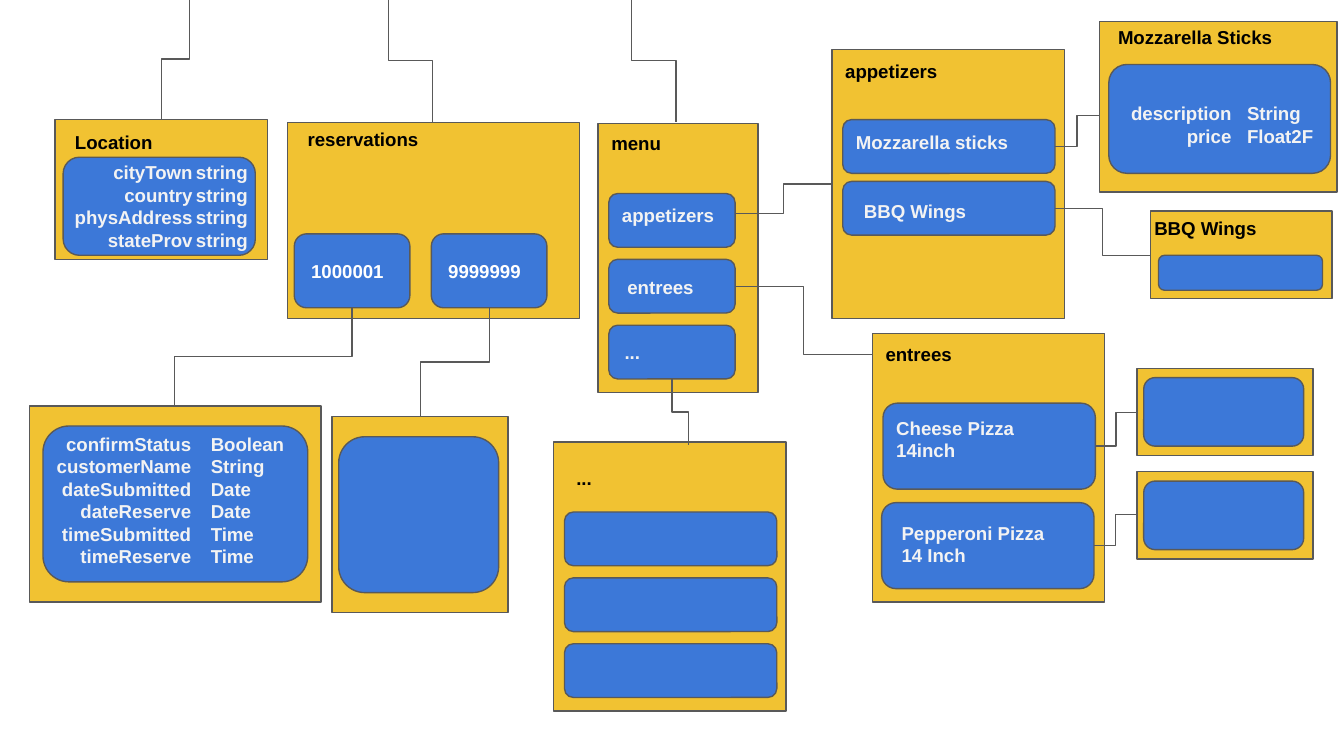
from lxml import etree
from pptx import Presentation
from pptx.dml.color import RGBColor
from pptx.enum.shapes import MSO_CONNECTOR, MSO_SHAPE
from pptx.enum.text import MSO_ANCHOR, PP_ALIGN
from pptx.oxml.ns import qn
from pptx.util import Inches, Pt

RECT = MSO_SHAPE.RECTANGLE
PILL = MSO_SHAPE.FLOWCHART_ALTERNATE_PROCESS
ELBOW = MSO_CONNECTOR.ELBOW
TOP, MIDDLE = MSO_ANCHOR.TOP, MSO_ANCHOR.MIDDLE
LEFT, RIGHT = PP_ALIGN.LEFT, PP_ALIGN.RIGHT

COLORS = {"card": "F1C232", "field": "3C78D8", "edge": "595959",
          "title": "000000", "label": "F3F3F3", "id": "FFFFFF"}
RGB = {role: RGBColor.from_string(value) for role, value in COLORS.items()}
FONT = {"name": "Arial", "size": Pt(10), "bold": True}
FRAME = {"word_wrap": True, "margin_left": Inches(0.1), "margin_right": Inches(0.1),
         "margin_top": Inches(0.1), "margin_bottom": Inches(0.1)}

prs = Presentation()
prs.slide_width = Inches(10)
prs.slide_height = Inches(10) * 9 // 16
slide = prs.slides.add_slide(prs.slide_layouts[6])


def add_block(preset, box, role):
    block = slide.shapes.add_shape(preset, *map(Inches, box))
    block.shadow.inherit = False
    block.fill.solid()
    block.fill.fore_color.rgb = RGB[role]
    block.line.color.rgb = RGB["edge"]
    block.line.width = Pt(0.75)
    return block


def write(holder, lines, role, align=LEFT, anchor=TOP):
    frame = holder.text_frame
    for name, value in FRAME.items():
        setattr(frame, name, value)
    frame.vertical_anchor = anchor
    for i, line in enumerate(lines):
        paragraph = frame.add_paragraph() if i else frame.paragraphs[0]
        paragraph.alignment = align
        run = paragraph.add_run()
        run.text = line
        for name, value in FONT.items():
            setattr(run.font, name, value)
        run.font.color.rgb = RGB[role]


cards = [
    (0.41, 0.89, 1.58, 1.04), (2.14, 0.91, 2.17, 1.46),
    (0.22, 3.02, 2.17, 1.46), (2.47, 3.1, 1.31, 1.46),
    (4.45, 0.92, 1.19, 2), (6.19, 0.37, 1.73, 2),
    (6.49, 2.48, 1.73, 2), (4.12, 3.29, 1.73, 2),
    (8.18, 0.16, 1.77, 1.27), (8.56, 1.57, 1.35, 0.65),
    (8.46, 2.74, 1.31, 0.65), (8.46, 3.51, 1.31, 0.65),
]
for card in cards:
    add_block(RECT, card, "card")

fields = [
    (0.47, 1.17, 1.43, 0.73), (0.32, 3.17, 1.97, 1.16), (2.52, 3.25, 1.19, 1.16),
    (6.27, 0.89, 1.58, 0.4), (6.27, 1.35, 1.58, 0.4),
    (6.57, 3, 1.58, 0.64), (6.56, 3.74, 1.58, 0.64),
    (8.25, 0.48, 1.65, 0.81), (8.62, 1.9, 1.22, 0.26),
    (8.51, 2.81, 1.19, 0.51), (8.51, 3.58, 1.19, 0.51),
]
fields += [(4.53, 1.44 + 0.49 * row, 0.94, 0.4) for row in range(2)]
fields += [(4.2, 3.81 + 0.49 * row, 1.58, 0.4) for row in range(3)]
for field in fields:
    add_block(PILL, field, "field")

for left, reservation in [(2.19, "1000001"), (3.21, "9999999")]:
    write(add_block(PILL, (left, 1.74, 0.86, 0.55), "field"), [reservation], "id", anchor=MIDDLE)
write(add_block(PILL, (4.53, 2.42, 0.94, 0.4), "field"), ["..."], "label", anchor=MIDDLE)

down_links = [
    (1.41, -0.01, 1.2, 0.89), (2.89, -0.01, 3.22, 0.91), (4.7, -0.01, 5.03, 0.91),
    (2.62, 2.29, 1.3, 3.02), (3.64, 2.29, 3.13, 3.1), (5, 2.82, 5.12, 3.31),
]
across_links = [
    (5.47, 1.59, 6.19, 1.37), (5.47, 2.13, 6.49, 2.64),
    (7.85, 1.09, 8.18, 0.86), (7.85, 1.55, 8.56, 1.9),
    (8.15, 3.32, 8.46, 3.07), (8.14, 4.06, 8.46, 3.83),
]
links = [(ends, 0) for ends in across_links]
for x1, y1, x2, y2 in down_links:
    mid_x, mid_y = (x1 + x2) / 2, (y1 + y2) / 2
    half_w, half_h = (y2 - y1) / 2, abs(x2 - x1) / 2
    turn = 270 if x2 > x1 else 90
    if turn == 270:
        half_w = -half_w
    links.append(((mid_x - half_w, mid_y - half_h, mid_x + half_w, mid_y + half_h), turn))
for ends, turn in links:
    link = slide.shapes.add_connector(ELBOW, *map(Inches, ends))
    link.line.color.rgb = RGB["edge"]
    link.line.width = Pt(0.75)
    properties = link._element.spPr
    etree.SubElement(properties, qn("a:effectLst"))
    if turn:
        properties.find(qn("a:xfrm")).set("rot", str(turn * 60000))

texts = [
    ((0.46, 0.89, 1.43, 0.25), ["Location"], "title", LEFT),
    ((2.19, 0.87, 1.65, 0.4), ["reservations"], "title", LEFT),
    ((4.45, 0.9, 1.49, 0.35), ["menu"], "title", LEFT),
    ((6.19, 0.36, 1.49, 0.35), ["appetizers"], "title", LEFT),
    ((6.49, 2.47, 1.49, 0.35), ["entrees"], "title", LEFT),
    ((4.19, 3.39, 0.94, 0.35), ["..."], "title", LEFT),
    ((8.22, 0.11, 1.39, 0.32), ["Mozzarella Sticks"], "title", LEFT),
    ((8.49, 1.53, 1.11, 0.32), ["BBQ Wings"], "title", LEFT),
    ((0.34, 1.1, 1.19, 0.88), ["cityTown", "country", "physAddress", "stateProv"], "label", RIGHT),
    ((1.36, 1.1, 0.62, 0.88), ["string"] * 4, "label", LEFT),
    ((0.22, 3.12, 1.3, 1.35), ["confirmStatus", "customerName", "dateSubmitted",
                               "dateReserve", "timeSubmitted", "timeReserve"], "label", RIGHT),
    ((1.47, 3.12, 0.86, 1.27), ["Boolean", "String", "Date", "Date", "Time", "Time"], "label", LEFT),
    ((4.53, 1.43, 0.94, 0.32), ["appetizers"], "label", LEFT),
    ((4.57, 1.97, 0.77, 0.32), ["entrees"], "label", LEFT),
    ((6.27, 0.89, 1.43, 0.32), ["Mozzarella sticks"], "label", LEFT),
    ((6.33, 1.4, 1.31, 0.32), ["BBQ Wings"], "label", LEFT),
    ((6.57, 3, 1.49, 0.32), ["Cheese Pizza 14inch"], "label", LEFT),
    ((6.61, 3.78, 1.31, 0.55), ["Pepperoni Pizza 14 Inch"], "label", LEFT),
    ((8.25, 0.66, 1.01, 0.65), ["description", "price"], "label", RIGHT),
    ((9.18, 0.66, 0.71, 0.64), ["String", "Float2F"], "label", LEFT),
]
for box, lines, role, align in texts:
    write(slide.shapes.add_textbox(*map(Inches, box)), lines, role, align)

prs.save("out.pptx")
